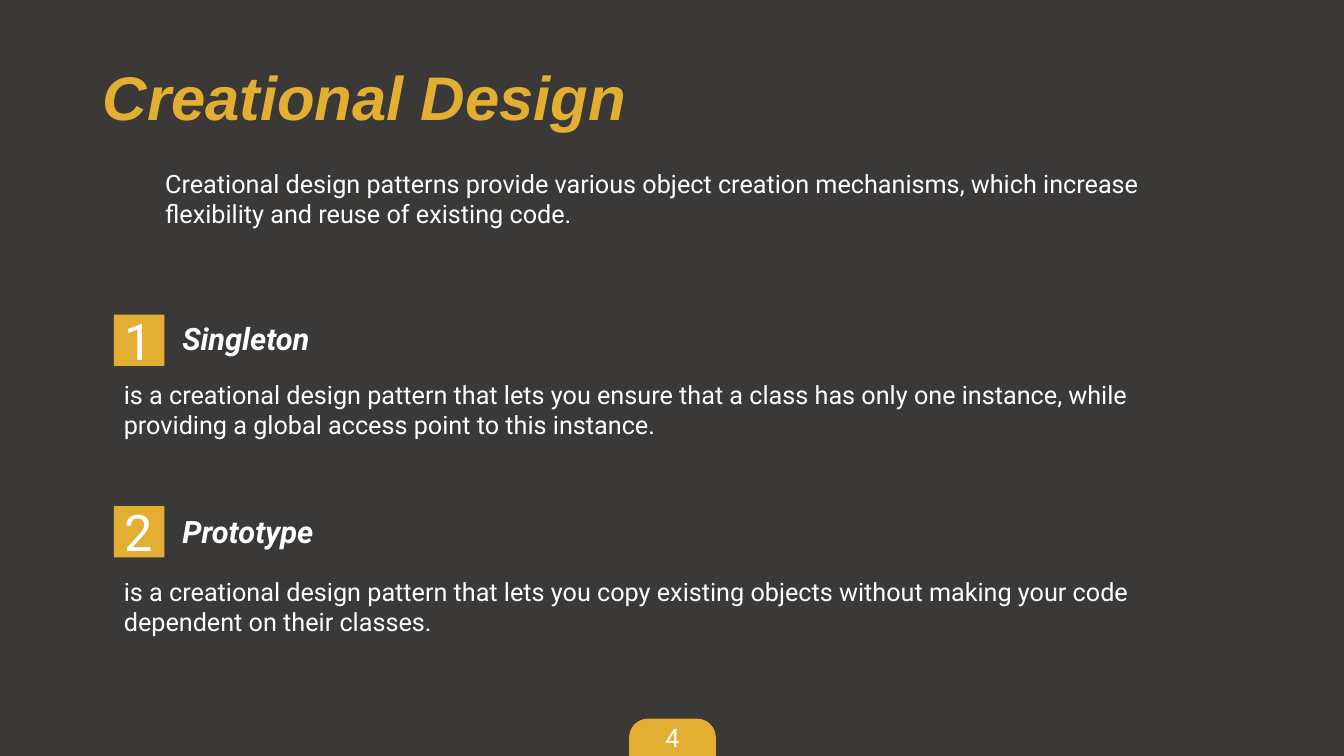
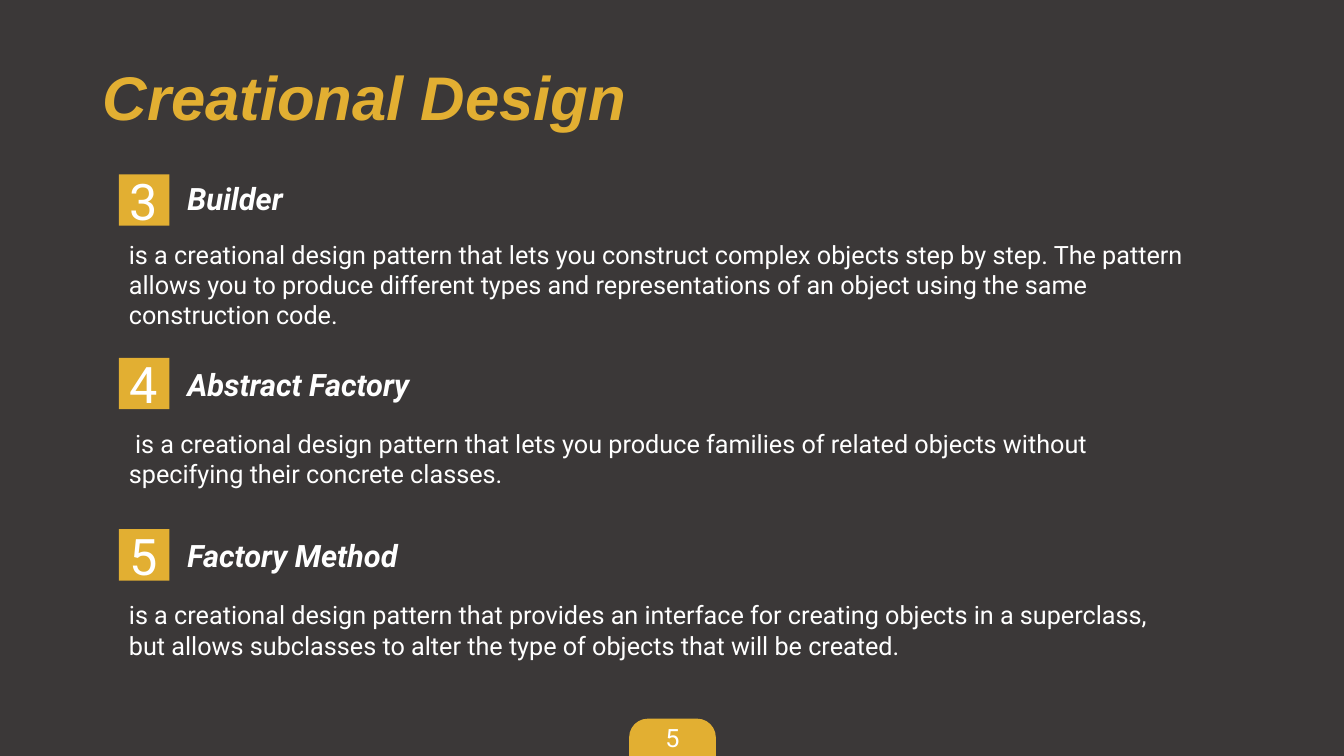
import pptx
import pptx.dml.color
import pptx.enum.shapes
import pptx.enum.text
import pptx.util

Inches = pptx.util.Inches
RGBColor = pptx.dml.color.RGBColor
MSO_SHAPE = pptx.enum.shapes.MSO_SHAPE
MSO_ANCHOR = pptx.enum.text.MSO_ANCHOR
PP_ALIGN = pptx.enum.text.PP_ALIGN

CHARCOAL = RGBColor(0x3B, 0x38, 0x38)
GOLD = RGBColor(0xE2, 0xAF, 0x32)
WHITE = RGBColor(0xFF, 0xFF, 0xFF)

BADGE_WIDTH, BADGE_HEIGHT = 0.5, 0.51
HEADING_OFFSET = 0.58

# Each pattern: badge top, heading top, body top, body width, name, description
SLIDES = [
    {
        "number": 4,
        "left": 1.13,
        "intro": "Creational design patterns provide various object creation mechanisms, "
                 "which increase flexibility and reuse of existing code.",
        "patterns": [
            (3.12, 3.12, 3.71, 10.9, "Singleton",
             "is a creational design pattern that lets you ensure that a class has only "
             "one instance, while providing a global access point to this instance."),
            (5.02, 5.04, 5.67, 10.32, "Prototype",
             "is a creational design pattern that lets you copy existing objects without "
             "making your code dependent on their classes."),
        ],
    },
    {
        "number": 5,
        "left": 1.18,
        "intro": None,
        "patterns": [
            (1.73, 1.73, 2.32, 10.9, "Builder",
             "is a creational design pattern that lets you construct complex objects step "
             "by step. The pattern allows you to produce different types and "
             "representations of an object using the same construction code."),
            (3.55, 3.58, 4.2, 10.32, "Abstract Factory",
             " is a creational design pattern that lets you produce families of related "
             "objects without specifying their concrete classes."),
            (5.25, 5.28, 5.9, 10.32, "Factory Method",
             "is a creational design pattern that provides an interface for creating "
             "objects in a superclass, but allows subclasses to alter the type of objects "
             "that will be created."),
        ],
    },
]


def write_text(shape, text, size=18, font="Roboto", color=WHITE, emphasis=False,
               align=PP_ALIGN.LEFT, anchor=MSO_ANCHOR.TOP, line_spacing=1.0):
    frame = shape.text_frame
    frame.word_wrap = True
    frame.vertical_anchor = anchor
    paragraph = frame.paragraphs[0]
    paragraph.alignment = align
    paragraph.line_spacing = line_spacing
    run = paragraph.add_run()
    run.text = text
    run.font.size = pptx.util.Pt(size)
    run.font.name = font
    run.font.color.rgb = color
    run.font.bold = run.font.italic = emphasis


def add_gold_shape(slide, kind, left, top, width, height):
    shape = slide.shapes.add_shape(kind, Inches(left), Inches(top),
                                   Inches(width), Inches(height))
    shape.shadow.inherit = False
    shape.fill.solid()
    shape.fill.fore_color.rgb = GOLD
    shape.line.fill.background()
    return shape


presentation = pptx.Presentation()
presentation.slide_width = Inches(13.33)
presentation.slide_height = Inches(7.5)

# Shared background
background = presentation.slide_master.background.fill
background.solid()
background.fore_color.rgb = CHARCOAL
title_only = presentation.slide_layouts.get_by_name("Title Only")

next_badge = 1
for content in SLIDES:
    slide = presentation.slides.add_slide(title_only)
    left = content["left"]

    # Title
    title = slide.shapes.title
    title.left, title.top = Inches(0.92), Inches(0.27)
    title.width, title.height = Inches(11.5), Inches(1.45)
    write_text(title, "Creational Design", size=44, font="Arial", color=GOLD,
               emphasis=True, anchor=MSO_ANCHOR.MIDDLE, line_spacing=0.9)

    # Page number tab; the bottom margin balances the inset of the rounded top
    tab = add_gold_shape(slide, MSO_SHAPE.ROUND_2_SAME_RECTANGLE, 6.24, 7.13, 0.86, 0.37)
    tab.adjustments[0] = 0.5
    tab.text_frame.margin_top = 0
    tab.text_frame.margin_bottom = Inches(0.05)
    write_text(tab, str(content["number"]), align=PP_ALIGN.CENTER, anchor=MSO_ANCHOR.MIDDLE)

    # Introduction
    if content["intro"]:
        intro = slide.shapes.add_textbox(Inches(1.54), Inches(1.62),
                                         Inches(10.07), Inches(0.71))
        write_text(intro, content["intro"])

    # Numbered patterns
    for badge_top, heading_top, body_top, body_width, name, description in content["patterns"]:
        badge = add_gold_shape(slide, MSO_SHAPE.RECTANGLE, left, badge_top,
                               BADGE_WIDTH, BADGE_HEIGHT)
        write_text(badge, str(next_badge), size=36, align=PP_ALIGN.CENTER,
                   anchor=MSO_ANCHOR.MIDDLE)
        next_badge += 1

        heading = slide.shapes.add_textbox(Inches(left + HEADING_OFFSET), Inches(heading_top),
                                           Inches(2.9), Inches(0.47))
        write_text(heading, name, size=22, emphasis=True)

        body = slide.shapes.add_textbox(Inches(left), Inches(body_top),
                                        Inches(body_width), Inches(0.71))
        write_text(body, description)

presentation.save("out.pptx")
